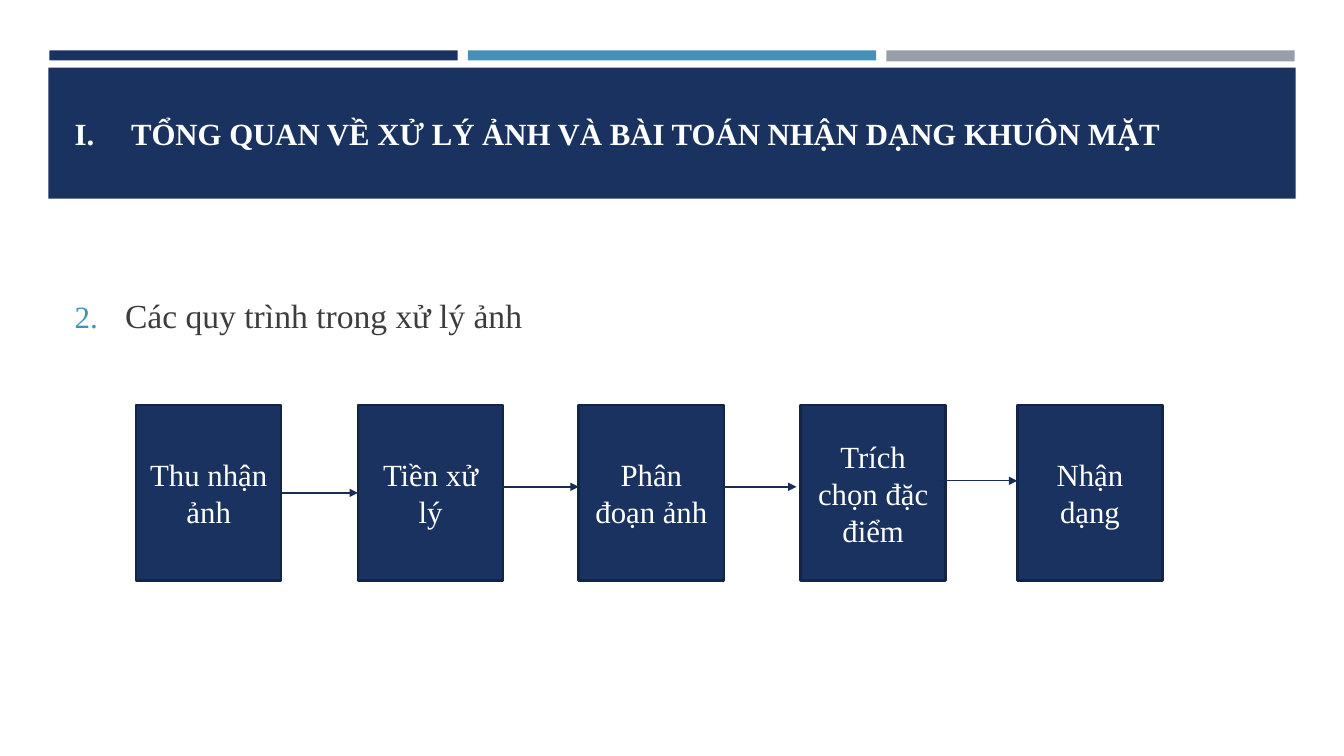
from dataclasses import dataclass

from lxml import etree
from pptx import Presentation
from pptx import util as u
from pptx.dml.color import RGBColor
from pptx.enum import shapes, text
from pptx.oxml.ns import qn

PX = 9144
FONT = "Times New Roman"
COLORS = {
    "navy": "1A3260",
    "outline": "132547",
    "arrow": "172D56",
    "blue": "4590B8",
    "gray": "969FA7",
    "white": "FFFFFF",
    "ink": "3D3D3D",
}


@dataclass
class Bar:
    left: int
    top: int
    width: int
    height: int
    color: str


@dataclass
class Step:
    left: int
    label: str


@dataclass
class Arrow:
    left: int
    y: int


BARS = [
    Bar(49, 50, 405, 10, "navy"),
    Bar(464, 50, 405, 10, "blue"),
    Bar(879, 50, 405, 11, "gray"),
    Bar(48, 67, 1237, 130, "navy"),
]
STEP_TOP, STEP_WIDTH, STEP_HEIGHT = 402, 144, 174
STEPS = [
    Step(135, "Thu nhận ảnh"),
    Step(355, "Tiền xử lý"),
    Step(574, "Phân đoạn ảnh"),
    Step(794, "Trích chọn đặc điểm"),
    Step(1009, "Nhận dạng"),
]
ARROW_LENGTH = 76
ARROWS = [Arrow(279, 489), Arrow(498, 483), Arrow(714, 483), Arrow(933, 477)]


def px(value: int) -> u.Emu:
    return u.Emu(value * PX)


def rgb(name: str) -> RGBColor:
    return RGBColor.from_string(COLORS[name])


def write_text(shape, content: str, *, size: int, color: str, bold: bool = False,
               align=text.PP_ALIGN.LEFT):
    frame = shape.text_frame
    frame.word_wrap = True
    frame.auto_size = text.MSO_AUTO_SIZE.NONE
    frame.vertical_anchor = text.MSO_ANCHOR.MIDDLE
    paragraph = frame.paragraphs[0]
    paragraph.alignment = align
    paragraph.space_before = u.Pt(0)
    run = paragraph.add_run()
    run.text = content
    run.font.name = FONT
    run.font.size = u.Pt(size)
    run.font.bold = bold
    run.font.color.rgb = rgb(color)
    return paragraph


def add_number(paragraph, scheme: str, start: int, indent: int, color: str,
               percent: int) -> None:
    properties = paragraph._p.get_or_add_pPr()
    properties.set("marL", str(px(indent)))
    properties.set("indent", str(px(-indent)))
    bullet_color = etree.SubElement(properties, qn("a:buClr"))
    etree.SubElement(bullet_color, qn("a:srgbClr"), val=COLORS[color])
    etree.SubElement(properties, qn("a:buSzPct"), val=str(percent * 1000))
    etree.SubElement(properties, qn("a:buFont"), typeface=FONT)
    etree.SubElement(properties, qn("a:buAutoNum"), type=scheme, startAt=str(start))


def place(shape, left: int, top: int, width: int, height: int) -> None:
    shape.left, shape.top = px(left), px(top)
    shape.width, shape.height = px(width), px(height)


def add_box(slide, left: int, top: int, width: int, height: int, color: str):
    shape = slide.shapes.add_shape(
        shapes.MSO_SHAPE.RECTANGLE, px(left), px(top), px(width), px(height))
    shape.shadow.inherit = False
    shape.fill.solid()
    shape.fill.fore_color.rgb = rgb(color)
    shape.line.fill.background()
    return shape


def add_step(slide, step: Step) -> None:
    shape = add_box(slide, step.left, STEP_TOP, STEP_WIDTH, STEP_HEIGHT, "navy")
    shape.line.color.rgb = rgb("outline")
    shape.line.width = u.Pt(1.75)
    write_text(shape, step.label, size=22, color="white", align=text.PP_ALIGN.CENTER)


def add_arrow(slide, arrow: Arrow) -> None:
    connector = slide.shapes.add_connector(
        shapes.MSO_CONNECTOR.STRAIGHT, px(arrow.left), px(arrow.y),
        px(arrow.left + ARROW_LENGTH), px(arrow.y))
    connector.line.color.rgb = rgb("arrow")
    connector.line.width = u.Pt(1)
    etree.SubElement(connector.line._get_or_add_ln(), qn("a:tailEnd"), type="triangle")
    etree.SubElement(connector.element.spPr, qn("a:effectLst"))


def main() -> None:
    presentation = Presentation()
    presentation.slide_width, presentation.slide_height = u.Inches(13.33), u.Inches(7.5)
    slide = presentation.slides.add_slide(presentation.slide_layouts[1])
    title, body = slide.placeholders

    for bar in BARS:
        add_box(slide, bar.left, bar.top, bar.width, bar.height, bar.color)

    title.element.getparent().append(title.element)
    place(title, 64, 77, 1206, 111)
    heading = write_text(
        title, "TỔNG QUAN VỀ XỬ LÝ ẢNH VÀ BÀI TOÁN NHẬN DẠNG KHUÔN MẶT",
        size=22, color="white", bold=True)
    add_number(heading, "romanUcPeriod", 1, 56, "white", 100)

    place(body, 64, 285, 1206, 56)
    topic = write_text(body, "Các quy trình trong xử lý ảnh", size=24, color="ink")
    add_number(topic, "arabicPeriod", 2, 50, "blue", 92)

    for step in STEPS:
        add_step(slide, step)
    for arrow in ARROWS:
        add_arrow(slide, arrow)

    presentation.save("out.pptx")


if __name__ == "__main__":
    main()
